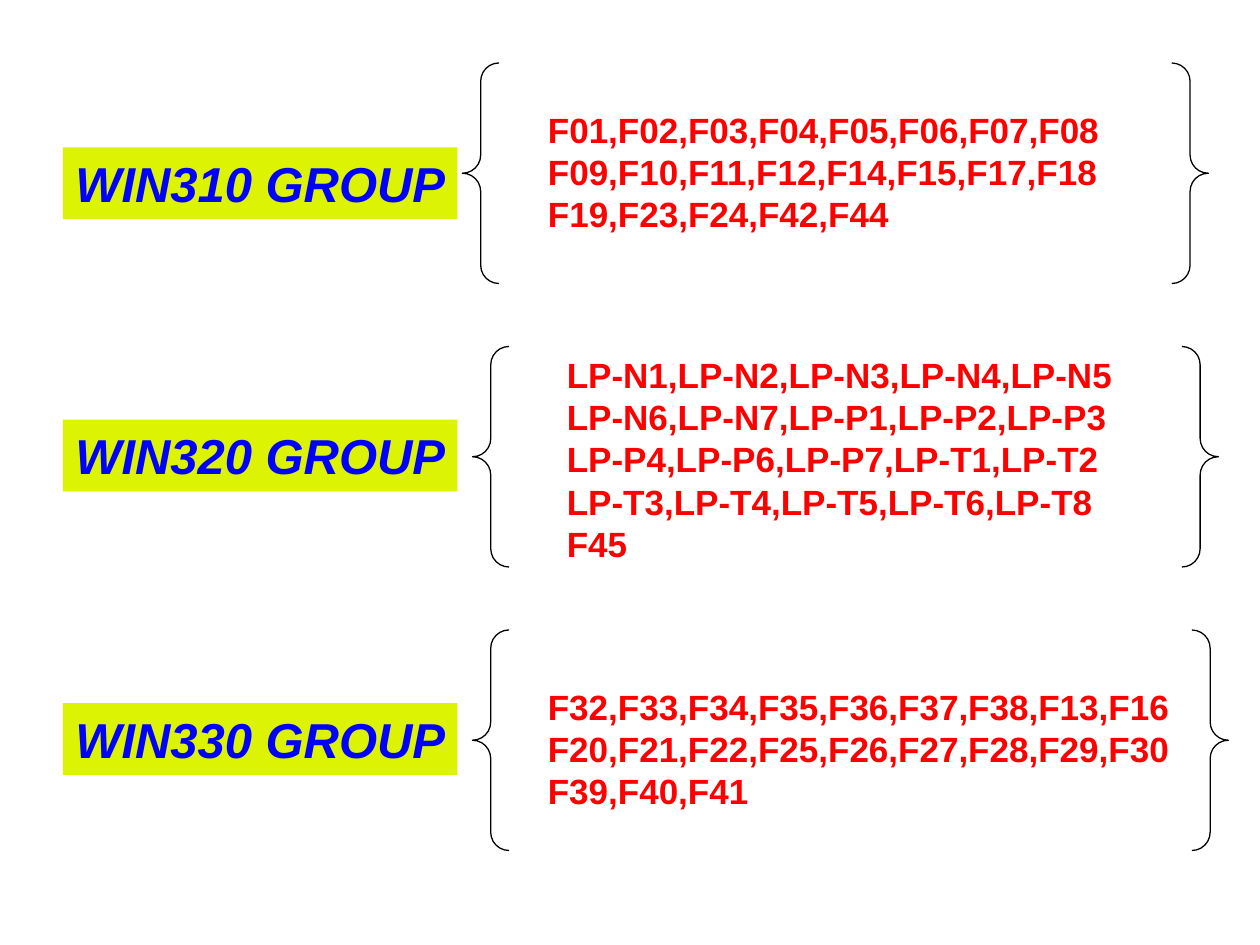
from dataclasses import dataclass

import pptx
import pptx.util
from pptx.dml.color import RGBColor
from pptx.enum.shapes import MSO_SHAPE
from pptx.enum.text import MSO_ANCHOR, MSO_AUTO_SIZE, PP_ALIGN

LIME = RGBColor(0xDC, 0xF3, 0x03)
BLUE = RGBColor(0x00, 0x00, 0xFF)
RED = RGBColor(0xFF, 0x00, 0x00)
BLACK = RGBColor(0x00, 0x00, 0x00)

# Grid in inches: one row per group
ROW_TOP, ROW_PITCH, BRACE_H = 0.5, 2.25, 1.75
LABEL_X, LABEL_W, LABEL_H = 0.5, 3.13, 0.57
LINE_H, PADDING = 0.33, 0.1


@dataclass
class Group:
    name: str
    members: list[str]
    label_dy: float  # offsets are from the top of the row
    brace_x: float
    brace_w: float
    list_x: float
    list_dy: float
    list_w: float


GROUPS = [
    Group("WIN310 GROUP",
          ["F01,F02,F03,F04,F05,F06,F07,F08",
           "F09,F10,F11,F12,F14,F15,F17,F18",
           "F19,F23,F24,F42,F44"],
          0.67, 3.67, 5.92, 4.25, 0.31, 4.58),
    Group("WIN320 GROUP",
          ["LP-N1,LP-N2,LP-N3,LP-N4,LP-N5",
           "LP-N6,LP-N7,LP-P1,LP-P2,LP-P3",
           "LP-P4,LP-P6,LP-P7,LP-T1,LP-T2",
           "LP-T3,LP-T4,LP-T5,LP-T6,LP-T8",
           "F45"],
          0.58, 3.75, 5.92, 4.4, 0.01, 4.53),
    Group("WIN330 GROUP",
          ["F32,F33,F34,F35,F36,F37,F38,F13,F16",
           "F20,F21,F22,F25,F26,F27,F28,F29,F30",
           "F39,F40,F41"],
          0.58, 3.75, 6, 4.25, 0.39, 5.13),
]


def box(*lengths: float) -> list[pptx.util.Inches]:
    return [pptx.util.Inches(n) for n in lengths]


def write(sp, lines: list[str], size: int, color: RGBColor, italic: bool = False) -> None:
    tf = sp.text_frame
    tf.word_wrap = False
    tf.auto_size = MSO_AUTO_SIZE.SHAPE_TO_FIT_TEXT
    tf.vertical_anchor = MSO_ANCHOR.TOP
    tf.margin_right = pptx.util.Inches(0.05)  # room for the longest line
    tf.text = "\n".join(lines)
    for p in tf.paragraphs:
        p.alignment = PP_ALIGN.LEFT
        p.font.name = "Arial"
        p.font.size = pptx.util.Pt(size)
        p.font.bold = True
        p.font.italic = italic
        p.font.color.rgb = color


def draw_group(s, group: Group, row: int) -> None:
    top = ROW_TOP + row * ROW_PITCH

    # Group name
    label = s.shapes.add_shape(
        MSO_SHAPE.RECTANGLE, *box(LABEL_X, top + group.label_dy, LABEL_W, LABEL_H))
    label.shadow.inherit = False
    label.fill.solid()
    label.fill.fore_color.rgb = LIME
    label.line.fill.background()
    write(label, [group.name], 28, BLUE, italic=True)

    # Pair of braces
    brace = s.shapes.add_shape(
        MSO_SHAPE.DOUBLE_BRACE, *box(group.brace_x, top, group.brace_w, BRACE_H))
    brace.shadow.inherit = False
    brace.adjustments[0] = 0.083
    brace.fill.background()
    brace.line.color.rgb = BLACK
    brace.line.width = pptx.util.Pt(0.75)

    # Members
    height = len(group.members) * LINE_H + PADDING
    members = s.shapes.add_textbox(
        *box(group.list_x, top + group.list_dy, group.list_w, height))
    write(members, group.members, 20, RED)


def main() -> None:
    prs = pptx.Presentation()
    prs.slide_width, prs.slide_height = box(10, 7.5)
    s = prs.slides.add_slide(prs.slide_layouts[6])
    for row, group in enumerate(GROUPS):
        draw_group(s, group, row)
    prs.save("out.pptx")


if __name__ == "__main__":
    main()
